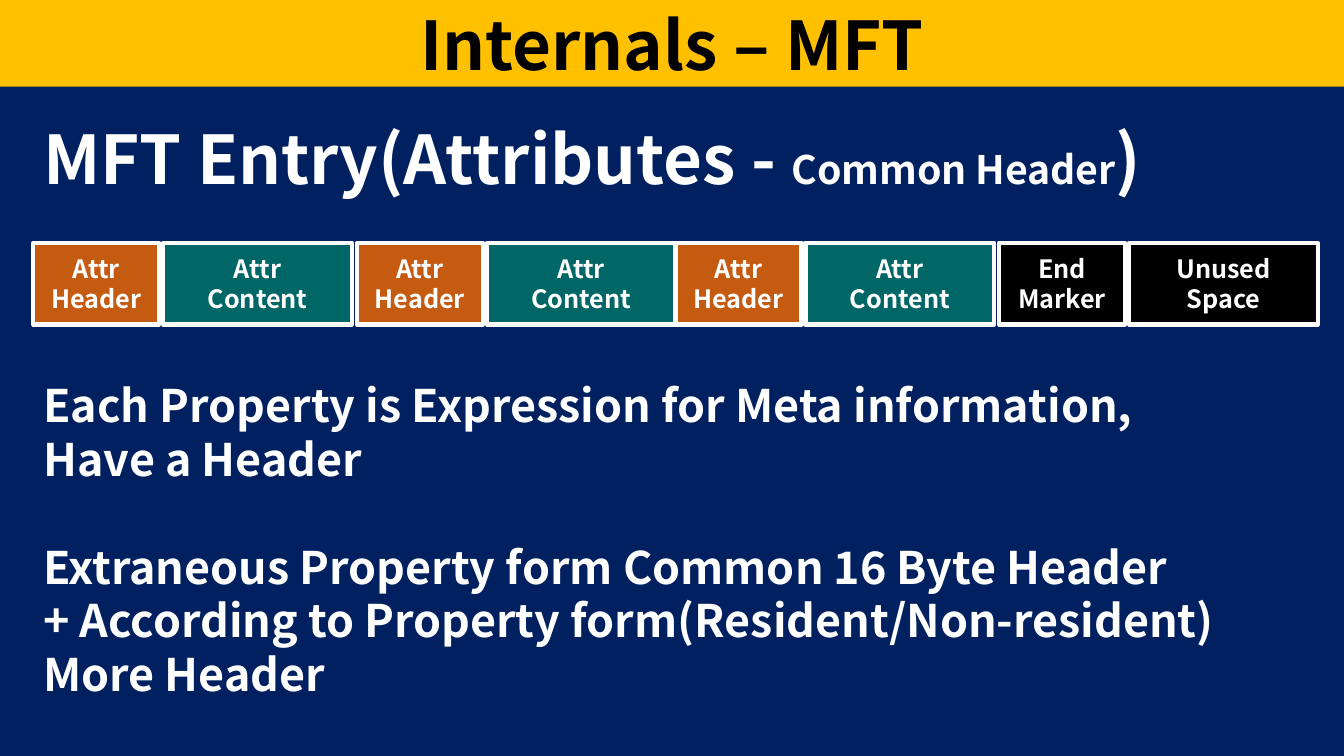
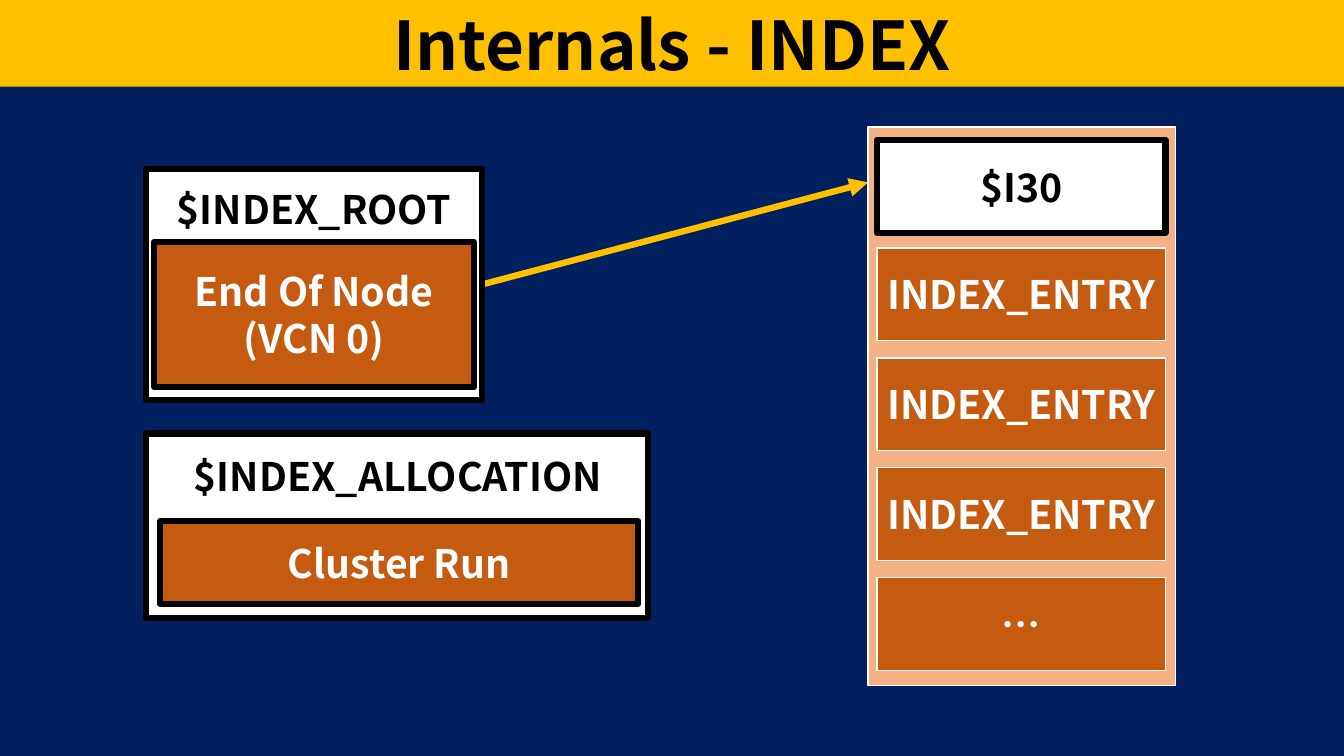
from dataclasses import dataclass

from lxml import etree
from pptx import Presentation
from pptx.dml.color import RGBColor
from pptx.enum import shapes, text
from pptx.oxml import ns
from pptx.util import Inches, Pt


@dataclass(frozen=True)
class Theme:
    font: str = "Noto Sans CJK KR"
    navy: str = "002060"
    gold: str = "FFC000"
    orange: str = "C55A11"
    peach: str = "F4B183"
    teal: str = "006666"
    white: str = "FFFFFF"
    black: str = "000000"
    title: int = 48
    body: int = 32
    label: int = 28
    cell: int = 18
    leading: float = 1.2
    heavy: float = 4.5
    medium: float = 3
    thin: float = 1


T = Theme()
WIDTH, HEIGHT = 13.33, 7.5
CENTER, LEFT = text.PP_ALIGN.CENTER, text.PP_ALIGN.LEFT


def rgb(value):
    return RGBColor.from_string(value)


# Text: each line is a string or a list of (string, size) runs
def write(shape, lines, size=T.label, color=T.white, align=CENTER,
          anchor=text.MSO_ANCHOR.MIDDLE, wrap=True, gap_before=()):
    frame = shape.text_frame
    frame.word_wrap = wrap
    frame.vertical_anchor = anchor
    frame.margin_top = frame.margin_bottom = Inches(0.05)
    for i, line in enumerate(lines):
        paragraph = frame.add_paragraph() if i else frame.paragraphs[0]
        paragraph.alignment = align
        paragraph.line_spacing = Pt(size * T.leading)
        if i in gap_before:
            paragraph.space_before = Pt(size * T.leading)
        for words, points in [(line, size)] if isinstance(line, str) else line:
            run = paragraph.add_run()
            run.text = words
            run.font.size, run.font.bold = Pt(points), True
            run.font.color.rgb = rgb(color)
            run.font.name = T.font
            east_asian = etree.SubElement(run.font._element, ns.qn("a:ea"))
            east_asian.set("typeface", T.font)


def add_label(slide, at, lines, **format):
    label = slide.shapes.add_textbox(*map(Inches, at))
    write(label, lines, anchor=text.MSO_ANCHOR.TOP, **format)


def add_box(slide, at, fill, line=None, weight=T.thin, lines=(), **format):
    box = slide.shapes.add_shape(shapes.MSO_SHAPE.RECTANGLE, *map(Inches, at))
    box.shadow.inherit = False
    box.fill.solid()
    box.fill.fore_color.rgb = rgb(fill)
    if line:
        box.line.color.rgb = rgb(line)
        box.line.width = Pt(weight)
    else:
        box.line.fill.background()
    if lines:
        write(box, lines, **format)


def add_arrow(slide, start, end):
    arrow = slide.shapes.add_connector(
        shapes.MSO_CONNECTOR.STRAIGHT, *map(Inches, start + end))
    arrow.line.color.rgb = rgb(T.gold)
    arrow.line.width = Pt(T.heavy)
    head = etree.SubElement(arrow.line._get_or_add_ln(), ns.qn("a:tailEnd"))
    head.set("type", "triangle")
    etree.SubElement(arrow._element.spPr, ns.qn("a:effectLst"))


def add_titled_slide(prs, title):
    slide = prs.slides.add_slide(prs.slide_layouts[6])
    add_box(slide, (0, 0, WIDTH, 0.86), T.gold, lines=[title],
            size=T.title, color=T.black)
    return slide


# An attribute frame: white panel, heading and orange content
def add_attribute(slide, panel, heading_at, heading, content_at, content):
    add_box(slide, panel, T.white, T.black, T.heavy)
    add_label(slide, heading_at, [heading], color=T.black, wrap=False)
    add_box(slide, content_at, T.orange, T.black, T.heavy, content)


def build_mft(prs):
    slide = add_titled_slide(prs, "Internals – MFT")
    heading = [("MFT Entry(Attributes - ", T.title),
               ("Common Header", T.label), (")", T.title)]
    add_label(slide, (0.33, 1.11, 11.15, 0.91), [heading],
              size=T.title, align=LEFT, wrap=False)

    # Entry layout: each pair is a narrow cell and a wide one
    attribute = (("Attr", "Header"), T.orange), (("Attr", "Content"), T.teal)
    ending = (("End", "Marker"), T.black), (("Unused", "Space"), T.black)
    pairs = [attribute] * 3 + [ending]
    for left, pair in zip((0.33, 3.54, 6.7, 9.91), pairs):
        for (words, fill), offset, width in zip(pair, (0, 1.29), (1.25, 1.87)):
            add_box(slide, (left + offset, 2.41, width, 0.81), fill,
                    T.white, T.medium, words, size=T.cell)

    # Explanation
    add_label(slide, (0.33, 3.7, 12.47, 3.33), [
        "Each Property is Expression for Meta information,",
        "Have a Header",
        "Extraneous Property form Common 16 Byte Header",
        "+ According to Property form(Resident/Non-resident)",
        "More Header",
    ], size=T.body, align=LEFT, gap_before=(2,))


def build_index(prs):
    slide = add_titled_slide(prs, "Internals - INDEX")
    add_arrow(slide, (4.79, 2.82), (8.61, 1.81))

    # Index record with its stacked entries
    add_box(slide, (8.61, 1.26, 3.05, 5.54), T.peach, T.white)
    for row, entry in enumerate(["INDEX_ENTRY"] * 3 + ["…"]):
        add_box(slide, (8.7, 2.46 + row * 1.09, 2.86, 0.92), T.orange,
                T.white, lines=[entry])
    add_box(slide, (8.7, 1.39, 2.86, 0.92), T.white, T.black, T.heavy,
            ["$I30"], color=T.black)

    # Index attributes
    add_attribute(slide, (1.45, 1.68, 3.33, 2.29),
                  (1.59, 1.79, 3.05, 0.58), "$INDEX_ROOT",
                  (1.53, 2.4, 3.17, 1.44), ["End Of Node", "(VCN 0)"])
    add_attribute(slide, (1.45, 4.3, 4.98, 1.83),
                  (1.67, 4.44, 4.55, 0.58), "$INDEX_ALLOCATION",
                  (1.59, 5.17, 4.74, 0.82), ["Cluster Run"])


def main():
    prs = Presentation()
    prs.slide_width, prs.slide_height = Inches(WIDTH), Inches(HEIGHT)
    backdrop = prs.slide_master.background.fill
    backdrop.solid()
    backdrop.fore_color.rgb = rgb(T.navy)
    build_mft(prs)
    build_index(prs)
    prs.save("out.pptx")


if __name__ == "__main__":
    main()
